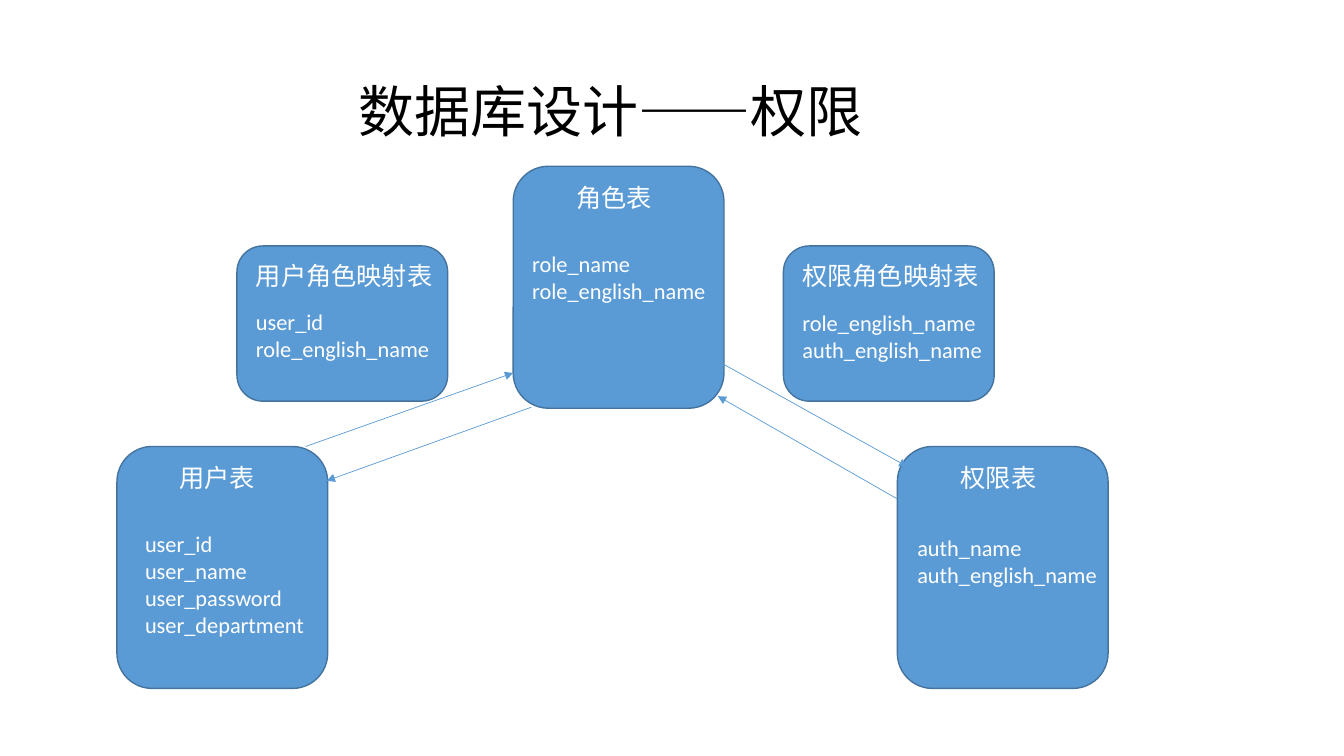
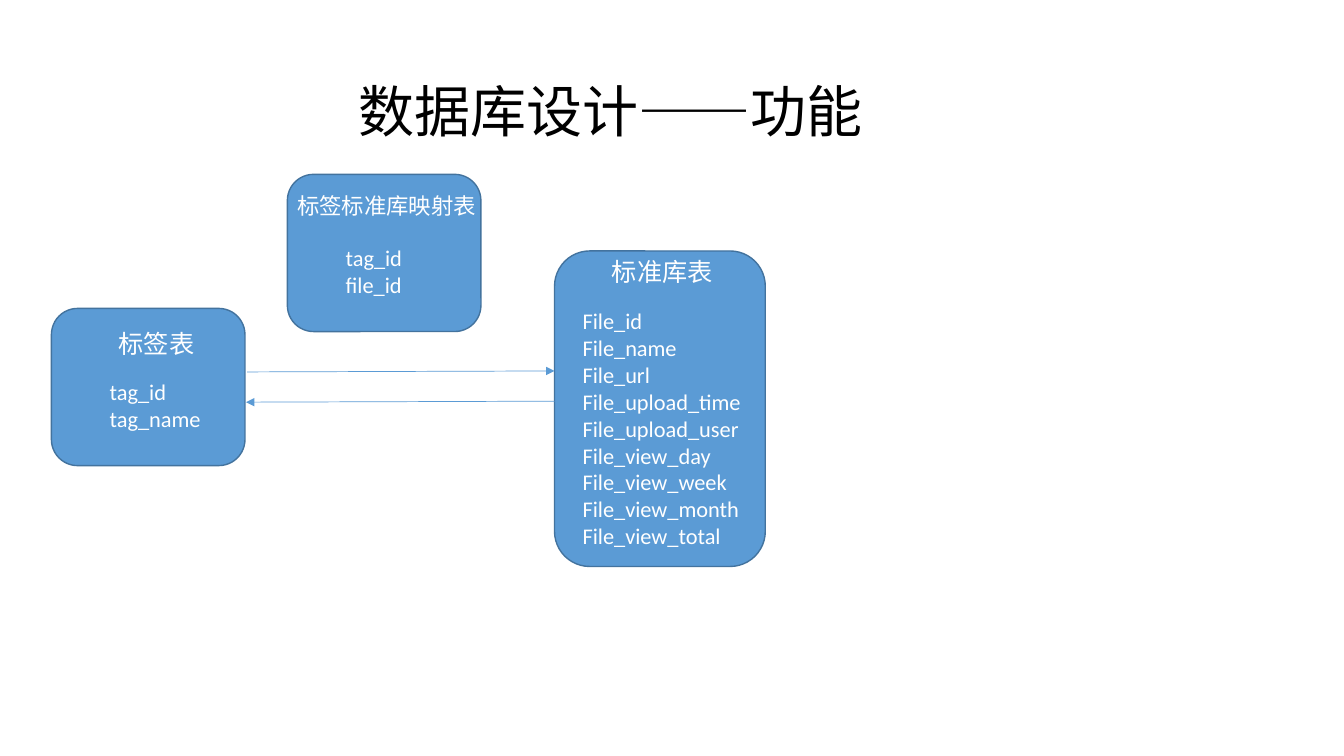
"""Build two database design slides: permission tables and feature tables."""
from dataclasses import dataclass

from lxml.etree import SubElement
from pptx import Presentation
from pptx.dml.color import RGBColor
from pptx.enum.shapes import MSO_CONNECTOR, MSO_SHAPE
from pptx.enum.text import MSO_ANCHOR, PP_ALIGN
from pptx.oxml.ns import qn
from pptx.util import Inches, Pt


@dataclass(frozen=True)
class Theme:
    box_fill: RGBColor = RGBColor(0x5B, 0x9B, 0xD5)
    box_line: RGBColor = RGBColor(0x43, 0x73, 0x9E)
    title_color: RGBColor = RGBColor(0, 0, 0)
    text_color: RGBColor = RGBColor(0xFF, 0xFF, 0xFF)
    title_size: int = 40
    heading_size: int = 18
    field_size: int = 16
    chinese_font: str = "Noto Sans CJK SC"
    field_font: str = "Calibri"


THEME = Theme()


def write_lines(shape, area, lines, size, font, color):
    shape.left, shape.top, shape.width, shape.height = map(Inches, area)
    frame = shape.text_frame
    frame.text = "\n".join(lines)
    frame_format = {"word_wrap": True, "vertical_anchor": MSO_ANCHOR.TOP}
    for name, value in frame_format.items():
        setattr(frame, name, value)
    for paragraph in frame.paragraphs:
        paragraph.alignment = PP_ALIGN.LEFT
        for run in paragraph.runs:
            for name, value in {"size": Pt(size), "name": font}.items():
                setattr(run.font, name, value)
            run.font.color.rgb = color
            SubElement(run.font._element, qn("a:ea"), typeface=font)


def add_arrow(slide, start, end):
    arrow = slide.shapes.add_connector(
        MSO_CONNECTOR.STRAIGHT, *map(Inches, start + end))
    arrow.line.color.rgb = THEME.box_fill
    arrow.line.width = Pt(0.5)
    SubElement(arrow.line._get_or_add_ln(), qn("a:tailEnd"), type="triangle")
    SubElement(arrow._element.spPr, qn("a:effectLst"))


BIG, MAPPING, TAG = (2.09, 2.4), (2.09, 1.54), (1.92, 1.56)
HEADING = THEME.heading_size

# Each table: position, size, heading, heading offset, heading size, fields, field offset
SLIDES = [
    ("数据库设计——权限", [
        ((1.16, 4.43), BIG, "用户表", (0.52, 0.11), HEADING,
         ["user_id", "user_name", "user_password", "user_department"], (0.18, 0.78)),
        ((5.09, 1.65), BIG, "角色表", (0.53, 0.11), HEADING,
         ["role_name", "role_english_name"], (0.09, 0.78)),
        ((8.9, 4.43), BIG, "权限表", (0.53, 0.11), HEADING,
         ["auth_name", "auth_english_name"], (0.1, 0.82)),
        ((2.35, 2.44), MAPPING, "用户角色映射表", (0.09, 0.09), HEADING,
         ["user_id", "role_english_name"], (0.09, 0.57)),
        ((7.77, 2.44), MAPPING, "权限角色映射表", (0.09, 0.09), HEADING,
         ["role_english_name", "auth_english_name"], (0.09, 0.58)),
    ], [
        ((3.03, 4.43), (5.09, 3.7)),
        ((5.27, 4.04), (3.24, 4.77)),
        ((7.17, 3.61), (9, 4.63)),
        ((8.9, 4.95), (7.12, 3.93)),
    ]),
    ("数据库设计——功能", [
        ((5.5, 2.49), (2.09, 3.13), "标准库表", (0.47, 0), HEADING,
         ["File_id", "File_name", "File_url", "File_upload_time",
          "File_upload_user", "File_view_day", "File_view_week",
          "File_view_month", "File_view_total"], (0.18, 0.51)),
        ((0.51, 3.06), TAG, "标签表", (0.57, 0.15), HEADING,
         ["tag_id", "tag_name"], (0.48, 0.64)),
        ((2.85, 1.73), TAG, "标签标准库映射表", (0, 0.13), THEME.field_size,
         ["tag_id", "file_id"], (0.48, 0.64)),
    ], [
        ((2.45, 3.69), (5.5, 3.68)),
        ((5.5, 3.98), (2.44, 3.99)),
    ]),
]

deck = Presentation()
deck.slide_width, deck.slide_height = Inches(13.33), Inches(7.5)

for title, tables, arrows in SLIDES:
    slide = deck.slides.add_slide(deck.slide_layouts[5])
    write_lines(slide.shapes.title, (3.46, 0.71, 5.34, 0.77), [title],
                THEME.title_size, THEME.chinese_font, THEME.title_color)

    for (left, top), (width, height), heading, heading_offset, heading_size, fields, field_offset in tables:
        table_box = slide.shapes.add_shape(
            MSO_SHAPE.ROUNDED_RECTANGLE, *map(Inches, (left, top, width, height)))
        table_box.shadow.inherit = False
        table_box.fill.solid()
        table_box.fill.fore_color.rgb = THEME.box_fill
        table_box.line.color.rgb = THEME.box_line
        table_box.line.width = Pt(1)

        for lines, (dx, dy), size, font, text_height in (
            ([heading], heading_offset, heading_size, THEME.chinese_font, 0.4),
            (fields, field_offset, THEME.field_size, THEME.field_font, 0.1 + 0.27 * len(fields)),
        ):
            area = (left + dx, top + dy, 2.24, text_height)
            label = slide.shapes.add_textbox(*map(Inches, area))
            write_lines(label, area, lines, size, font, THEME.text_color)

    for start, end in arrows:
        add_arrow(slide, start, end)

deck.save("out.pptx")
